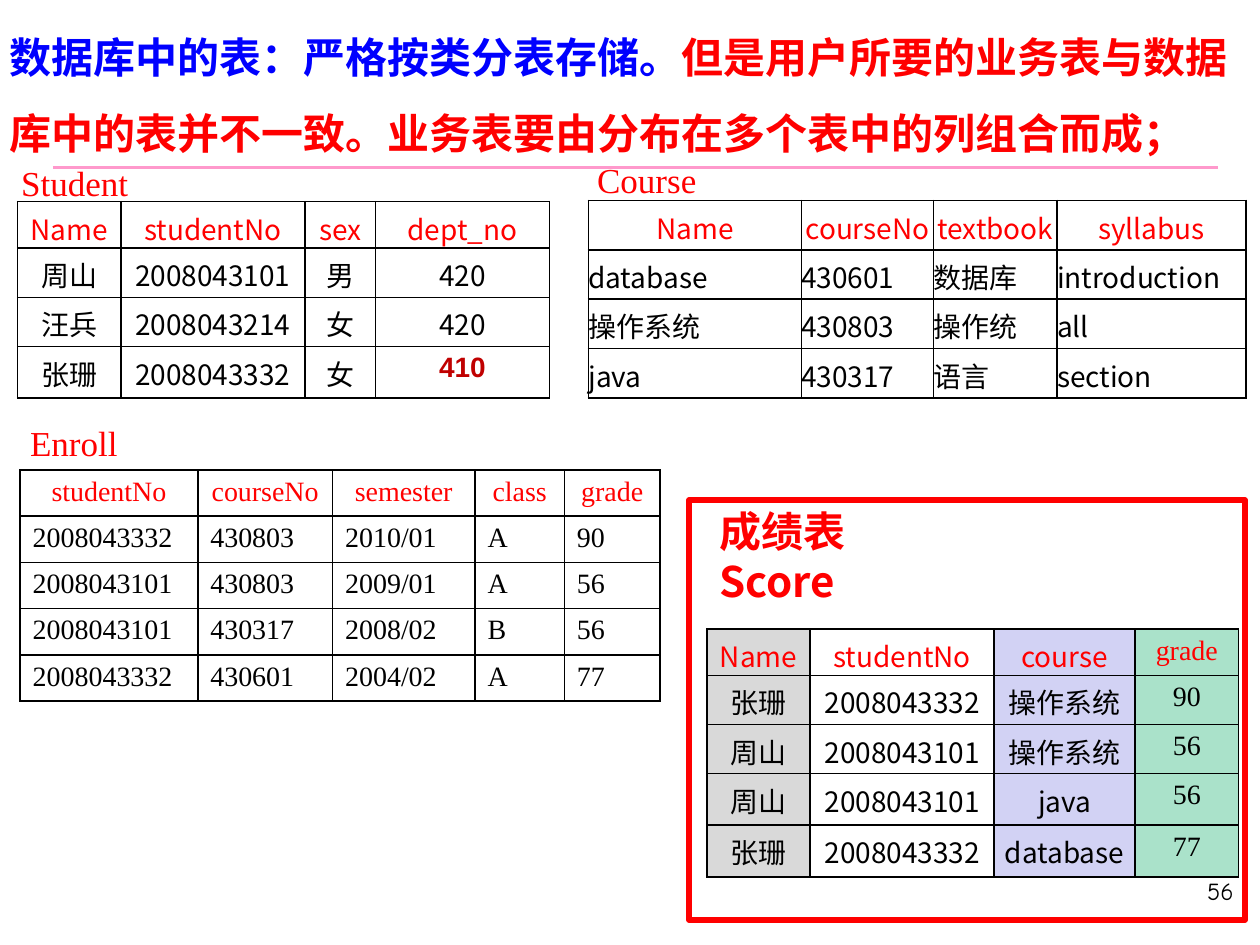
from dataclasses import dataclass, field

import pptx
import pptx.dml.color
import pptx.enum.shapes
import pptx.enum.text
import pptx.oxml
import pptx.oxml.ns
import pptx.util
from pptx.dml.color import RGBColor
from pptx.util import Inches

RED = RGBColor(0xFF, 0, 0)
BLUE = RGBColor(0, 0, 0xFF)
BLACK = RGBColor(0, 0, 0)
CRIMSON = RGBColor(0xC0, 0, 0)
PINK = RGBColor(0xFF, 0x99, 0xCC)
GREY = RGBColor(0xD9, 0xD9, 0xD9)
LILAC = RGBColor(0xD2, 0xD2, 0xF4)
MINT = RGBColor(0xAA, 0xE2, 0xCA)

SANS = "Noto Sans CJK SC"
SERIF = "Times New Roman"
ALIGN = pptx.enum.text.PP_ALIGN
ANCHOR = pptx.enum.text.MSO_ANCHOR
QN = pptx.oxml.ns.qn


@dataclass
class Style:
    font: str
    size: float
    color: RGBColor
    bold: bool = False


@dataclass
class Label:
    text: str
    box: tuple
    style: Style


@dataclass
class Grid:
    left: float
    top: float
    cols: list
    rows: list
    data: list
    font: str = SANS
    center: bool = True
    fills: dict = field(default_factory=dict)   # column: colour
    fonts: dict = field(default_factory=dict)   # column: font
    marks: dict = field(default_factory=dict)   # (row, column): style


def add_run(para, text: str, style: Style) -> None:
    run = para.add_run()
    run.text = text
    run.font.name = style.font
    run.font.size = pptx.util.Pt(style.size)
    run.font.bold = style.bold
    run.font.color.rgb = style.color
    props = run.font._element
    east = props.makeelement(QN("a:ea"), {"typeface": style.font})
    props.find(QN("a:latin")).addnext(east)


def add_box(slide, box: tuple, anchor=ANCHOR.TOP):
    frame = slide.shapes.add_textbox(*map(Inches, box)).text_frame
    frame.word_wrap = True
    frame.vertical_anchor = anchor
    return frame.paragraphs[0]


def add_label(slide, label: Label) -> None:
    para = add_box(slide, label.box, ANCHOR.MIDDLE)
    for i, line in enumerate(label.text.split("\n")):
        if i:
            para.add_line_break()
        add_run(para, line, label.style)


def add_edges(cell) -> None:
    props = cell._tc.get_or_add_tcPr()
    space = pptx.oxml.ns.nsdecls("a")
    for i, side in enumerate(("lnL", "lnR", "lnT", "lnB")):
        props.insert(i, pptx.oxml.parse_xml(
            f'<a:{side} {space} w="12700"><a:solidFill>'
            f'<a:srgbClr val="{BLACK}"/></a:solidFill></a:{side}>'))


def fill_cell(cell, grid: Grid, row: int, col: int) -> None:
    font = grid.fonts.get(col, grid.font)
    if font == SANS:
        cell.margin_left = cell.margin_right = cell.margin_bottom = 0
    if col in grid.fills:
        cell.fill.solid()
        cell.fill.fore_color.rgb = grid.fills[col]
    else:
        cell.fill.background()
    add_edges(cell)
    para = cell.text_frame.paragraphs[0]
    para.alignment = ALIGN.CENTER if grid.center or row == 0 else ALIGN.LEFT
    plain = Style(font, 16, BLACK if row else RED)
    add_run(para, grid.data[row][col], grid.marks.get((row, col), plain))


def add_grid(slide, grid: Grid) -> None:
    place = (grid.left, grid.top, sum(grid.cols), sum(grid.rows))
    table = slide.shapes.add_table(
        len(grid.rows), len(grid.cols), *map(Inches, place)).table
    table.first_row = table.horz_banding = False
    for col, width in zip(table.columns, grid.cols):
        col.width = Inches(width)
    for r, height in enumerate(grid.rows):
        table.rows[r].height = Inches(height)
        for c in range(len(grid.cols)):
            fill_cell(table.cell(r, c), grid, r, c)


STUDENT = Grid(
    0.14, 1.6, [0.82, 1.46, 0.56, 1.38], [0.37, 0.39, 0.39, 0.41],
    [["Name", "studentNo", "sex", "dept_no"],
     ["周山", "2008043101", "男", "420"],
     ["汪兵", "2008043214", "女", "420"],
     ["张珊", "2008043332", "女", "410"]],
    marks={(3, 3): Style("Arial", 16, CRIMSON, True)})

ENROLL = Grid(
    0.16, 3.73, [1.41, 1.07, 1.13, 0.71, 0.76], [1.83 / 5] * 5,
    [["studentNo", "courseNo", "semester", "class", "grade"],
     ["2008043332", "430803", "2010/01", "A", "90"],
     ["2008043101", "430803", "2009/01", "A", "56"],
     ["2008043101", "430317", "2008/02", "B", "56"],
     ["2008043332", "430601", "2004/02", "A", "77"]],
    font=SERIF, center=False)

COURSE = Grid(
    4.67, 1.59, [1.69, 1.05, 0.98, 1.5], [1.57 / 4] * 4,
    [["Name", "courseNo", "textbook", "syllabus"],
     ["database", "430601", "数据库", "introduction"],
     ["操作系统", "430803", "操作统", "all"],
     ["java", "430317", "语言", "section"]],
    center=False)

SCORE = Grid(
    5.61, 4.99, [0.82, 1.46, 1.12, 0.82], [0.37, 0.39, 0.39, 0.41, 0.41],
    [["Name", "studentNo", "course", "grade"],
     ["张珊", "2008043332", "操作系统", "90"],
     ["周山", "2008043101", "操作系统", "56"],
     ["周山", "2008043101", "java", "56"],
     ["张珊", "2008043332", "database", "77"]],
    fills={0: GREY, 2: LILAC, 3: MINT}, fonts={3: SERIF})

NAME = Style(SERIF, 20, RED)
LABELS = [
    Label("Student", (0.07, 1.23, 1.83, 0.43), NAME),
    Label("Enroll", (0.14, 3.3, 1, 0.43), NAME),
    Label("Course", (4.64, 1.21, 1.83, 0.43), NAME),
    Label("成绩表\nScore", (5.61, 4.16, 2.12, 0.5),
          Style(SANS, 24, RED, True)),
]


def main() -> None:
    deck = pptx.Presentation()
    deck.slide_width, deck.slide_height = Inches(10), Inches(7.5)
    slide = deck.slides.add_slide(deck.slide_layouts[6])

    # Rule under the heading
    rule = slide.shapes.add_connector(
        pptx.enum.shapes.MSO_CONNECTOR.STRAIGHT,
        *map(Inches, (0.42, 1.33, 9.67, 1.33)))
    rule.line.color.rgb = PINK
    rule.line.width = pptx.util.Pt(1.5)
    props = rule._element.spPr
    props.append(props.makeelement(QN("a:effectLst"), {}))

    # Page number
    para = add_box(slide, (7.81, 6.9, 2.08, 0.5))
    para.alignment = ALIGN.RIGHT
    add_run(para, "56", Style("Comic Neue", 14, BLACK))

    # Heading
    para = add_box(slide, (-0.02, 0, 10.02, 1.31))
    para.line_spacing = 1.5
    add_run(para, "数据库中的表：严格按类分表存储。", Style(SANS, 24, BLUE, True))
    add_run(para, "但是用户所要的业务表与数据库中的表并不一致。"
            "业务表要由分布在多个表中的列组合而成；", Style(SANS, 24, RED, True))

    # Tables and their names
    for grid in (STUDENT, ENROLL, COURSE, SCORE):
        add_grid(slide, grid)
    for label in LABELS:
        add_label(slide, label)

    # Frame round the score table
    frame = slide.shapes.add_shape(
        pptx.enum.shapes.MSO_SHAPE.RECTANGLE,
        *map(Inches, (5.47, 3.97, 4.41, 3.33)))
    frame.shadow.inherit = False
    frame.fill.background()
    frame.line.color.rgb = RED
    frame.line.width = pptx.util.Pt(3.5)

    deck.save("out.pptx")


if __name__ == "__main__":
    main()
